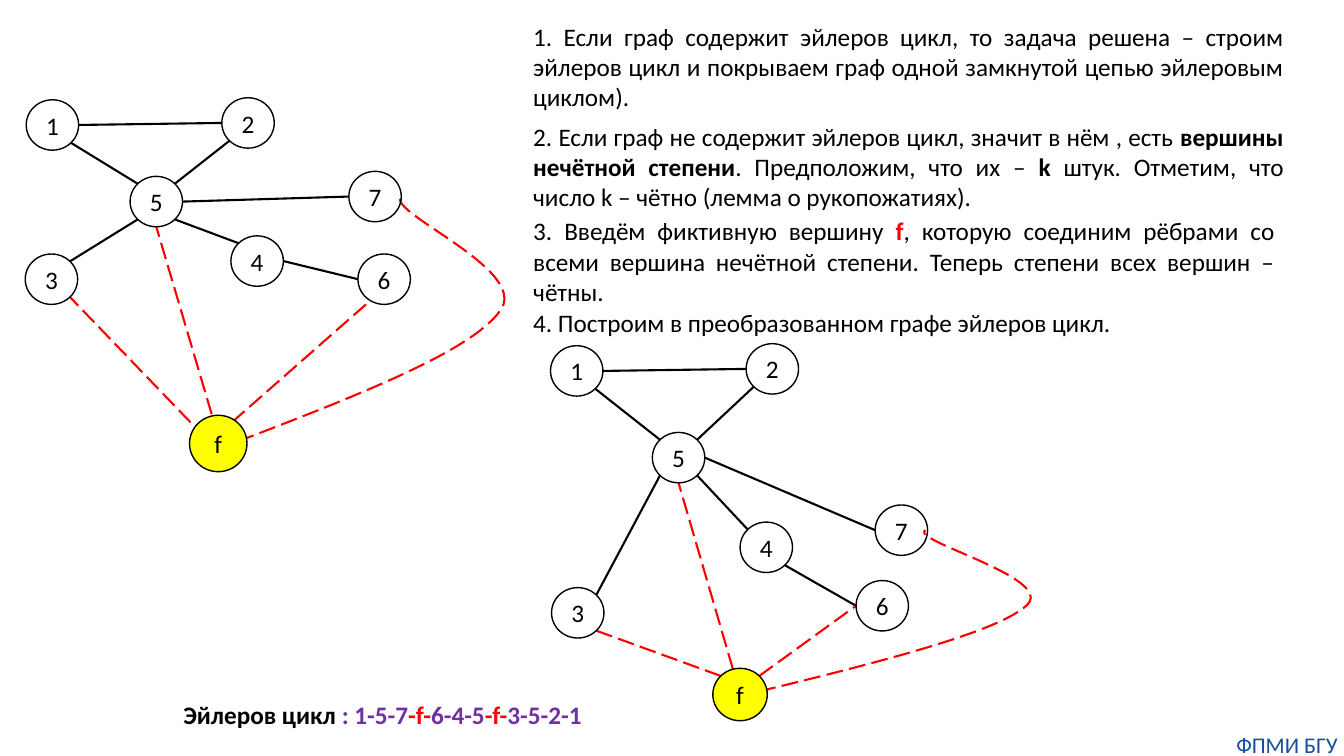
from lxml import etree
from pptx import Presentation
from pptx import util as u
from pptx.dml import color
from pptx.enum import dml, shapes, text
from pptx.oxml import ns

Inches = u.Inches
COLORS = {"ink": "000000", "red": "FF0000", "yellow": "FFFF00",
          "purple": "7030A0", "blue": "144E9D"}
FONT = "Calibri"
NODE_SIZE = (0.52, 0.5)

# Points on the rim of a node, as shares of its half width and half height
DIAG = 0.707
SITES = {"N": (0, -1), "S": (0, 1), "W": (-1, 0), "E": (1, 0),
         "NW": (-DIAG, -DIAG), "NE": (DIAG, -DIAG),
         "SW": (-DIAG, DIAG), "SE": (DIAG, DIAG)}

# An edge end is a node with a rim site, or a point inside the graph's box
COMMON_EDGES = [(("1", "SE"), ("5", "NW")), (("2", "SW"), ("5", "NE")),
                (("1", "E"), ("2", "W")), (("5", "SW"), ("3", "NE")),
                (("5", "SE"), ("4", "NW")), (("5", "E"), ("7", "W"))]

SOURCE_GRAPH = {
    "nodes": {"1": (0.01, 0.02), "2": (1.95, 0), "3": (0, 1.55), "4": (2.04, 1.37),
              "5": (1.04, 0.78), "6": (3.3, 1.55), "7": (3.21, 0.73), "f": (1.63, 3.15)},
    "f_size": (0.57, 0.56),
    "edges": COMMON_EDGES + [(("4", "E"), ("6", "W"))],
    "dashed": [((1.64, 3.22), ("3", "SE")), ((1.85, 3.14), ("5", "S")),
               ((2.05, 3.22), (3.38, 2.05))],
    "curve": [(2.11, 3.41), (3.28, 2.96), (4.45, 2.51), (4.72, 2.1),
              (4.99, 1.7), (3.57, 1.13), (3.73, 0.98)],
}
CYCLE_GRAPH = {
    "nodes": {"1": (0, 0.02), "2": (1.94, 0), "3": (0.01, 2.42), "4": (1.88, 1.77),
              "5": (1.01, 0.88), "6": (3.03, 2.35), "7": (3.22, 1.6), "f": (1.61, 3.22)},
    "f_size": (0.54, 0.52),
    "edges": COMMON_EDGES + [(("4", "SE"), ("6", "W"))],
    "dashed": [(("f", "NW"), ("3", "SE")), ((1.81, 3.23), ("5", "S")),
               (("f", "NE"), ("6", "W"))],
    "curve": [(2.07, 3.45), (3.26, 3.16), (4.45, 2.86), (4.73, 2.59),
              (5, 2.32), (3.55, 1.95), (3.72, 1.85)],
}

# Each step: box, wrapping, runs as (text, colour, bold)
STEPS = [
    ((5.19, 0.16, 7.64, 1.01), True, [
        ("1. Если граф содержит эйлеров цикл, то задача решена – строим эйлеров цикл "
         "и покрываем граф одной замкнутой цепью эйлеровым циклом).", "ink", False)]),
    ((5.19, 1.15, 7.64, 1.01), True, [
        ("2. Если граф не содержит эйлеров цикл, значит в нём , есть ", "ink", False),
        ("вершины нечётной степени", "ink", True),
        (". Предположим, что их – ", "ink", False),
        ("k ", "ink", True),
        ("штук. Отметим, что число k – чётно (лемма о рукопожатиях).", "ink", False)]),
    ((5.19, 2.09, 7.55, 1.01), True, [
        ("3. Введём фиктивную вершину ", "ink", False),
        ("f", "red", True),
        (", которую соединим рёбрами со всеми вершина нечётной степени. "
         "Теперь степени всех вершин – чётны.", "ink", False)]),
    ((5.19, 3, 6, 0.4), False, [
        ("4. Построим в преобразованном графе эйлеров цикл.", "ink", False)]),
]
CYCLE = [("Эйлеров цикл ", "ink", True), (": 1-5-7", "purple", True),
         ("-f-", "red", True), ("6-4-5", "purple", True),
         ("-f-", "red", True), ("3-5-2-1", "purple", True)]


def rgb(name):
    return color.RGBColor.from_string(COLORS[name])


def style_font(font, size, ink, bold=False):
    font.name, font.size, font.bold = FONT, u.Pt(size), bold
    font.color.rgb = rgb(ink)


def style_line(line, ink, width, dashed=False):
    line.color.rgb = rgb(ink)
    line.width = u.Pt(width)
    if dashed:
        line.dash_style = dml.MSO_LINE.LONG_DASH


def add_text(slide, box, runs, align, wrap=True, size=18, margin=None):
    frame = slide.shapes.add_textbox(*map(Inches, box)).text_frame
    frame.word_wrap = wrap
    frame.auto_size = text.MSO_AUTO_SIZE.SHAPE_TO_FIT_TEXT
    if margin is not None:
        frame.margin_left = frame.margin_right = Inches(margin)
        frame.margin_top = frame.margin_bottom = Inches(margin)
    paragraph = frame.paragraphs[0]
    paragraph.alignment = align
    for words, ink, bold in runs:
        run = paragraph.add_run()
        run.text = words
        style_font(run.font, size, ink, bold)


def add_node(slide, label, box, fill=None):
    node = slide.shapes.add_shape(shapes.MSO_SHAPE.OVAL, *map(Inches, box))
    node.shadow.inherit = False
    if fill:
        node.fill.solid()
        node.fill.fore_color.rgb = rgb(fill)
    else:
        node.fill.background()
    style_line(node.line, "ink", 1)
    frame = node.text_frame
    frame.text = label
    frame.vertical_anchor = text.MSO_ANCHOR.MIDDLE
    paragraph = frame.paragraphs[0]
    paragraph.alignment = text.PP_ALIGN.CENTER
    style_font(paragraph.runs[0].font, 18, "ink")


def add_edge(slide, start, end, ink, dashed=False):
    edge = slide.shapes.add_connector(
        shapes.MSO_CONNECTOR.STRAIGHT, *map(Inches, start + end))
    etree.SubElement(edge._element.spPr, ns.qn("a:effectLst"))
    style_line(edge.line, ink, 1.5, dashed)


def add_curve(slide, points, steps=24):
    """Dashed edge through successive cubic Bezier segments."""
    track = []
    for first in range(0, len(points) - 1, 3):
        a, b, c, d = points[first:first + 4]
        for step in range(1, steps + 1):
            t = step / steps
            s = 1 - t
            track.append(tuple(
                Inches(s**3 * p + 3 * s * s * t * q + 3 * s * t * t * r + t**3 * v)
                for p, q, r, v in zip(a, b, c, d)))
    builder = slide.shapes.build_freeform(*map(Inches, points[0]))
    builder.add_line_segments(track, close=False)
    edge = builder.convert_to_shape()
    edge.shadow.inherit = False
    edge.fill.background()
    style_line(edge.line, "red", 1.5, dashed=True)


def add_graph(slide, left, top, graph):
    boxes = {label: (left + x, top + y) + (graph["f_size"] if label == "f" else NODE_SIZE)
             for label, (x, y) in graph["nodes"].items()}

    def locate(end):
        if end[0] not in boxes:
            return left + end[0], top + end[1]
        x, y, width, height = boxes[end[0]]
        across, down = SITES[end[1]]
        return x + width / 2 * (1 + across), y + height / 2 * (1 + down)

    # Edges of the graph, then those of the fictitious vertex
    for start, end in graph["edges"]:
        add_edge(slide, locate(start), locate(end), "ink")
    for start, end in graph["dashed"]:
        add_edge(slide, locate(start), locate(end), "red", dashed=True)
    add_curve(slide, [(left + x, top + y) for x, y in graph["curve"]])
    # Vertices
    for label, box in boxes.items():
        add_node(slide, label, box, "yellow" if label == "f" else None)


def add_steps(slide):
    for box, wrap, runs in STEPS:
        add_text(slide, box, runs, text.PP_ALIGN.JUSTIFY, wrap)


def main():
    deck = Presentation()
    deck.slide_width, deck.slide_height = Inches(13.33), Inches(7.5)
    slide = deck.slides.add_slide(deck.slide_layouts[6])
    add_steps(slide)
    add_graph(slide, 0.25, 0.97, SOURCE_GRAPH)
    add_graph(slide, 5.46, 3.41, CYCLE_GRAPH)
    # Resulting cycle and footer
    add_text(slide, (1.72, 6.89, 4.21, 0.4), CYCLE, text.PP_ALIGN.LEFT, wrap=False)
    add_text(slide, (12.2, 7.25, 1.13, 0.27), [("ФПМИ БГУ", "blue", False)],
             text.PP_ALIGN.CENTER, size=16, margin=0)
    deck.save("out.pptx")


if __name__ == "__main__":
    main()
